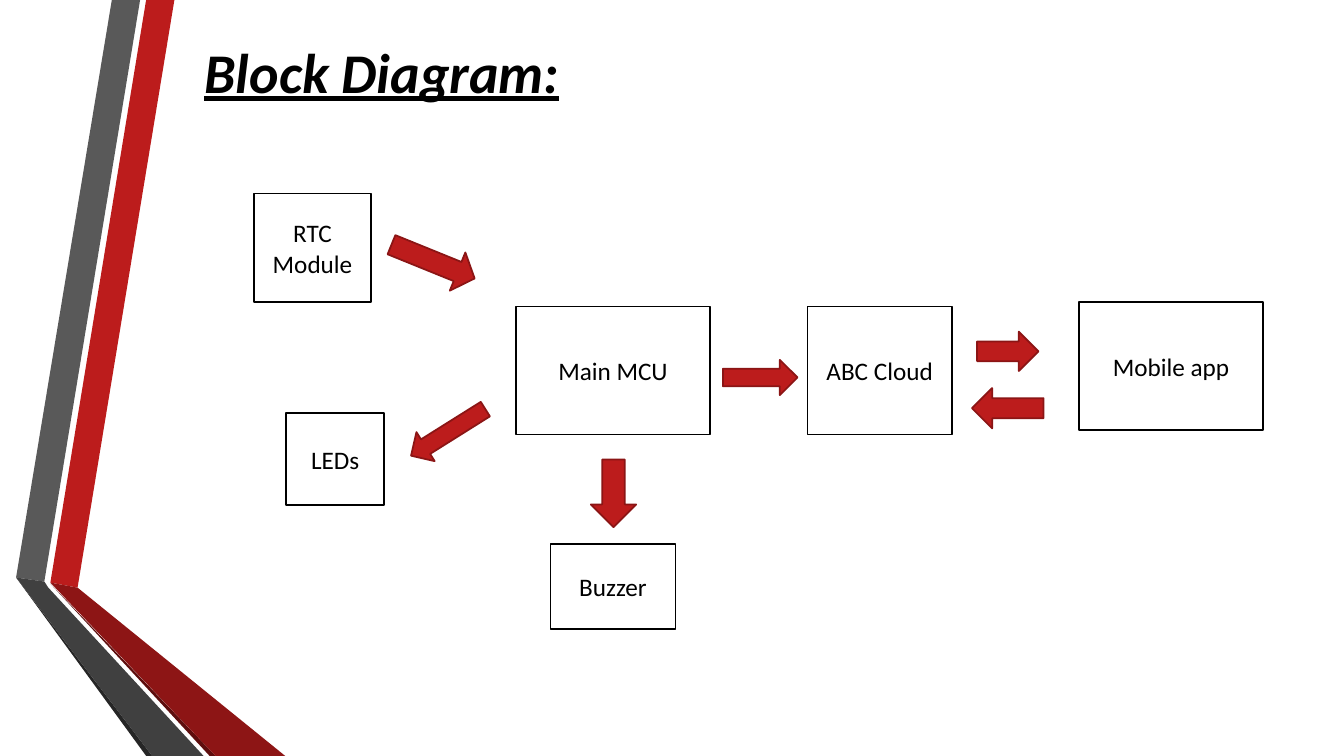
import pptx
import pptx.dml.color
import pptx.enum.shapes
import pptx.enum.text
import pptx.util

Inches = pptx.util.Inches
Pt = pptx.util.Pt
Preset = pptx.enum.shapes.MSO_SHAPE

FONT = "Calibri"
BLACK = "000000"
WHITE = "FFFFFF"
RED = "BC1C1C"
DARK_RED = "8B1515"

# Side ribbons: fill and outline points in inches
RIBBONS = [
    (RED, [(0.5, 5.78), (0.77, 5.83), (1.73, 0), (1.45, 0)]),
    ("595959", [(1.39, 0), (1.11, 0), (0.16, 5.73), (0.44, 5.77)]),
    ("262626", [(0.16, 5.73), (1.45, 7.5), (1.51, 7.5)]),
    ("5E0E0E", [(0.5, 5.79), (2.08, 7.5), (2.14, 7.5)]),
    ("8D1515", [(0.5, 5.78), (2.14, 7.5), (2.83, 7.5), (0.77, 5.83)]),
    ("404040", [(2.02, 7.5), (0.48, 5.83), (0.44, 5.77), (0.16, 5.73), (1.51, 7.5)]),
]

# Blocks: label, left, top, width, height
BLOCKS = [
    ("Main MCU", 5.12, 3.04, 1.92, 1.27),
    ("RTC Module", 2.52, 1.92, 1.16, 1.08),
    ("LEDs", 2.84, 4.1, 0.97, 0.91),
    ("Buzzer", 5.46, 5.4, 1.24, 0.84),
    ("ABC Cloud", 8.01, 3.04, 1.43, 1.27),
    ("Mobile app", 10.7, 3, 1.83, 1.27),
]

# Arrows: preset, left, top, width, height, rotation, head length
ARROWS = [
    (Preset.RIGHT_ARROW, 3.85, 2.39, 0.89, 0.41, 22.1, 0.445),
    (Preset.RIGHT_ARROW, 4.01, 4.12, 0.87, 0.34, 147.9, 0.5),
    (Preset.DOWN_ARROW, 5.86, 4.56, 0.45, 0.67, 0, 0.5),
    (Preset.RIGHT_ARROW, 7.17, 3.57, 0.74, 0.35, 0, 0.5),
    (Preset.RIGHT_ARROW, 9.69, 3.29, 0.61, 0.39, 0, 0.5),
    (Preset.RIGHT_ARROW, 9.64, 3.85, 0.71, 0.4, 180, 0.5),
]


def color(hex_value):
    return pptx.dml.color.RGBColor.from_string(hex_value)


def style_shape(shape, fill, line=None):
    shape.shadow.inherit = False
    shape.fill.solid()
    shape.fill.fore_color.rgb = color(fill)
    if line:
        shape.line.color.rgb = color(line)
        shape.line.width = Pt(1.25)
    else:
        shape.line.fill.background()


def write_text(shape, text, size):
    shape.text_frame.word_wrap = True
    paragraph = shape.text_frame.paragraphs[0]
    paragraph.text = text
    paragraph.font.name = FONT
    paragraph.font.size = Pt(size)
    paragraph.font.color.rgb = color(BLACK)
    return paragraph


def add_ribbon(slide, fill, points):
    corners = [(Inches(x), Inches(y)) for x, y in points]
    builder = slide.shapes.build_freeform(*corners[0])
    builder.add_line_segments(corners[1:], close=True)
    style_shape(builder.convert_to_shape(), fill)


def add_title(slide, text):
    box = slide.shapes.add_textbox(Inches(1.93), Inches(0.32), Inches(6.67), Inches(0.77))
    paragraph = write_text(box, text, 40)
    paragraph.font.bold = True
    paragraph.font.italic = True
    paragraph.font.underline = True


def add_block(slide, label, *bounds):
    block = slide.shapes.add_shape(Preset.RECTANGLE, *map(Inches, bounds))
    style_shape(block, WHITE, BLACK)
    block.text_frame.vertical_anchor = pptx.enum.text.MSO_ANCHOR.MIDDLE
    write_text(block, label, 18).alignment = pptx.enum.text.PP_ALIGN.CENTER


def add_arrow(slide, preset, left, top, width, height, rotation, head_length):
    arrow = slide.shapes.add_shape(
        preset, Inches(left), Inches(top), Inches(width), Inches(height))
    arrow.rotation = rotation
    arrow.adjustments[1] = head_length
    style_shape(arrow, RED, DARK_RED)


def main():
    presentation = pptx.Presentation()
    presentation.slide_width = Inches(13.33)
    presentation.slide_height = Inches(7.5)
    slide = presentation.slides.add_slide(presentation.slide_layouts[6])

    # Background and side decoration
    slide.background.fill.solid()
    slide.background.fill.fore_color.rgb = color(WHITE)
    for ribbon in RIBBONS:
        add_ribbon(slide, *ribbon)

    # Title and diagram
    add_title(slide, "Block Diagram:")
    for block in BLOCKS:
        add_block(slide, *block)
    for arrow in ARROWS:
        add_arrow(slide, *arrow)

    presentation.save("out.pptx")


if __name__ == "__main__":
    main()
